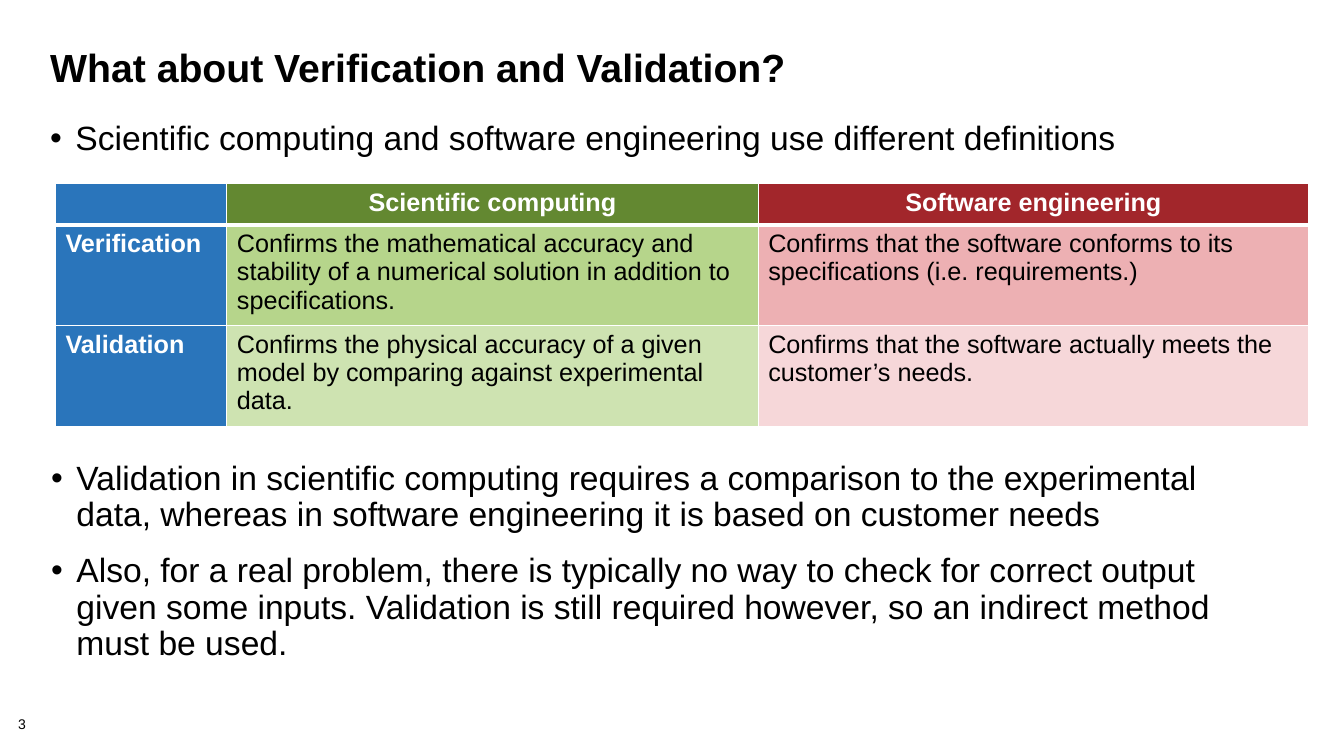
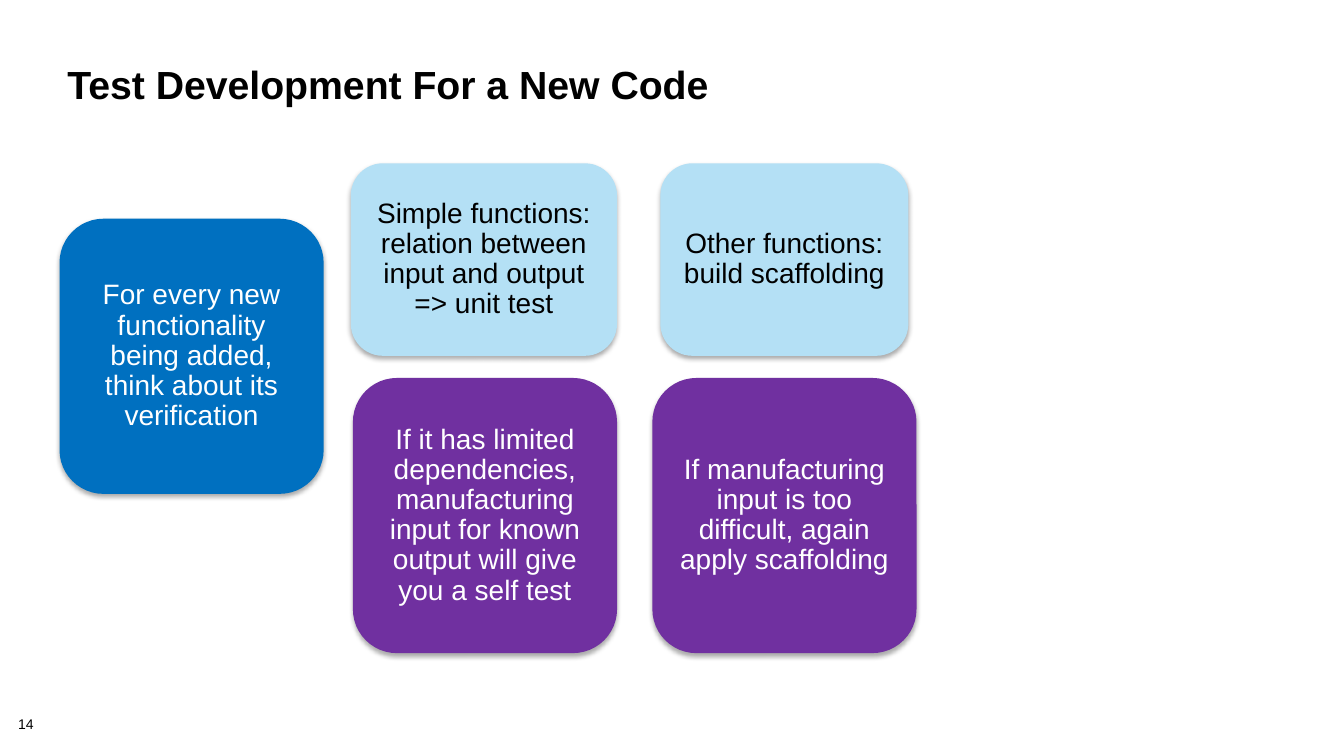
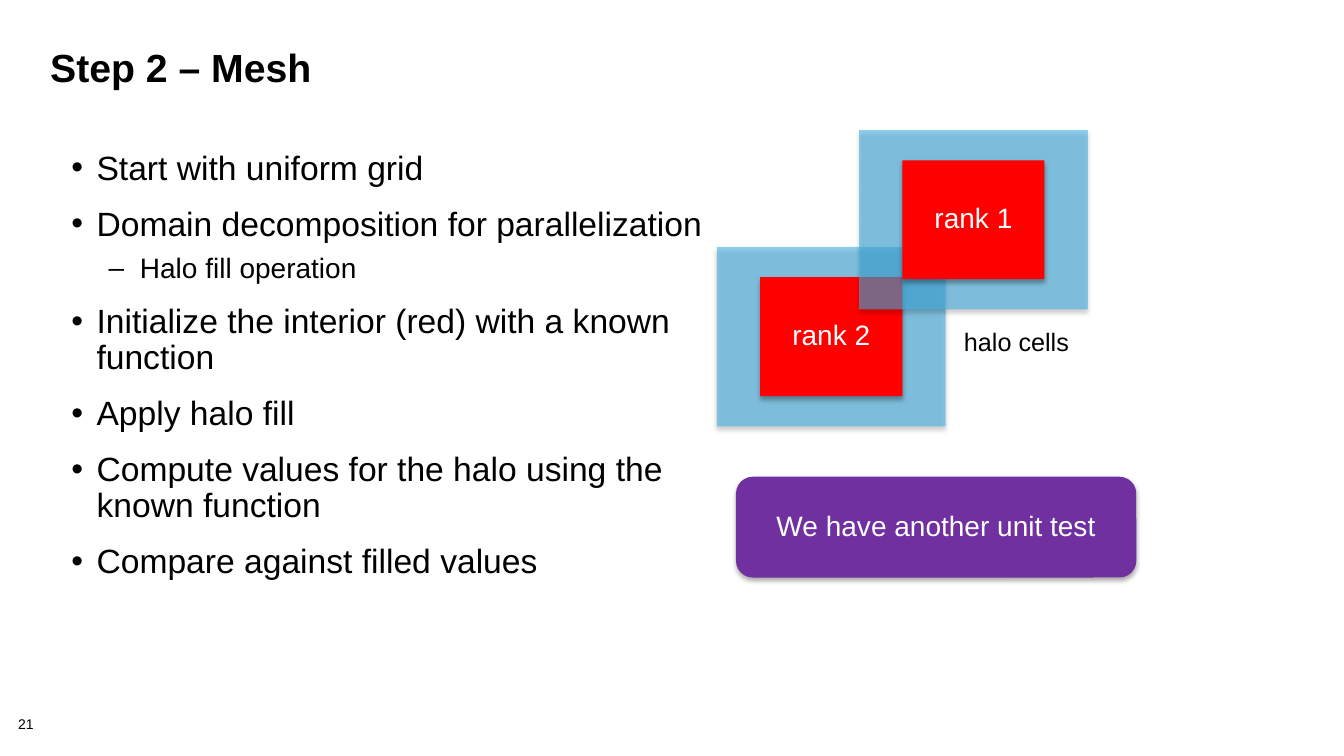
"""Build three slides on verification, test development and mesh testing."""
from dataclasses import dataclass

from lxml import etree
from pptx import Presentation
from pptx import util as u
from pptx.dml.color import RGBColor
from pptx.enum import shapes, text
from pptx.oxml import ns


@dataclass(frozen=True)
class Theme:
    font: str = "Arial"
    black: str = "000000"
    white: str = "FFFFFF"
    blue: str = "0070C0"
    pale_blue: str = "B4E0F5"
    purple: str = "7030A0"
    red: str = "FF0000"
    halo: str = "43B1E5"
    label_blue: str = "2A75BB"
    greens: tuple = ("638831", "B6D58B", "CEE3B1")
    reds: tuple = ("A2262B", "EDB0B3", "F6D7D9")
    title: int = 28
    body: int = 24
    block: int = 20
    table: int = 18
    footer: int = 10


theme = Theme()
bullet_levels = [
    ("•", 0.25, -0.25, 14, theme.body),
    ("–", 0.68, -0.31, 8, theme.block),
]


def write(frame, lines, size, color=theme.black, bold=False, spacing=0.9,
          align=None, margins=(0.1, 0.05), bullets=False):
    """Fill a text frame with (text, level) lines."""
    frame.word_wrap = True
    frame.margin_left = frame.margin_right = u.Inches(margins[0])
    frame.margin_top = frame.margin_bottom = u.Inches(margins[1])
    for index, (words, level) in enumerate(lines):
        para = frame.add_paragraph() if index else frame.paragraphs[0]
        para.line_spacing = spacing
        para.alignment = align
        if bullets:
            mark, margin, indent, before, size = bullet_levels[level]
            para.level = level
            props = para._p.get_or_add_pPr()
            props.set("marL", str(u.Inches(margin)))
            props.set("indent", str(u.Inches(indent)))
            tint = etree.SubElement(props, ns.qn("a:buClr"))
            etree.SubElement(tint, ns.qn("a:srgbClr"), val=theme.black)
            etree.SubElement(props, ns.qn("a:buFont"), typeface=theme.font)
            etree.SubElement(props, ns.qn("a:buChar"), char=mark)
            if index:
                para.space_before = u.Pt(before)
        span = para.add_run()
        span.text = words
        span.font.name = theme.font
        span.font.size = u.Pt(size)
        span.font.bold = bold
        span.font.color.rgb = RGBColor.from_string(color)


def add_block(parent, kind, place, fill, words="", color=theme.white, opacity=100):
    """Add a filled shape with a soft shadow and centred text."""
    shape = parent.add_shape(kind, *map(u.Inches, place))
    shape.fill.solid()
    shape.fill.fore_color.rgb = RGBColor.from_string(fill)
    shape.line.fill.background()
    shape.shadow.inherit = False
    props = shape._element.spPr
    if opacity < 100:
        tint = props.find(ns.qn("a:solidFill")).find(ns.qn("a:srgbClr"))
        etree.SubElement(tint, ns.qn("a:alpha"), val=str(opacity * 1000))
    shadow = etree.SubElement(
        props.find(ns.qn("a:effectLst")), ns.qn("a:outerShdw"), blurRad=str(u.Pt(3.5)),
        dist=str(u.Pt(2.2)), dir="5400000", rotWithShape="0")
    tint = etree.SubElement(shadow, ns.qn("a:srgbClr"), val=theme.black)
    etree.SubElement(tint, ns.qn("a:alpha"), val="32000")
    if words:
        shape.text_frame.vertical_anchor = text.MSO_ANCHOR.MIDDLE
        write(shape.text_frame, [(words, 0)], theme.block, color,
              align=text.PP_ALIGN.CENTER, margins=(0.13, 0.07))


deck = Presentation()
deck.slide_width, deck.slide_height = u.Inches(13.33), u.Inches(7.5)

pages = []
for number, title, left, top in [
    ("3", "What about Verification and Validation?", 0.4, 0.45),
    ("14", "Test Development For a New Code", 0.57, 0.62),
    ("21", "Step 2 – Mesh", 0.4, 0.45),
]:
    page = deck.slides.add_slide(deck.slide_layouts[6])
    box = page.shapes.add_textbox(u.Inches(0.18), u.Inches(7.12), u.Inches(0.56), u.Inches(0.16))
    write(box.text_frame, [(number, 0)], theme.footer, margins=(0, 0))
    box = page.shapes.add_textbox(u.Inches(left), u.Inches(top), u.Inches(12.44), u.Inches(1))
    write(box.text_frame, [(title, 0)], theme.title, bold=True, spacing=0.85)
    pages.append(page)
definitions, development, mesh = pages

for page, place, lines in [
    (definitions, (0.4, 1.16, 12.33, 0.6), [
        ("Scientific computing and software engineering use different definitions", 0),
    ]),
    (definitions, (0.41, 4.53, 12.33, 2.41), [
        ("Validation in scientific computing requires a comparison to the experimental data, "
         "whereas in software engineering it is based on customer needs", 0),
        ("Also, for a real problem, there is typically no way to check for correct output given "
         "some inputs. Validation is still required however, so an indirect method must be used.", 0),
    ]),
    (mesh, (0.61, 1.45, 6.46, 5.35), [
        ("Start with uniform grid", 0),
        ("Domain decomposition for parallelization", 0),
        ("Halo fill operation", 1),
        ("Initialize the interior (red) with a known function", 0),
        ("Apply halo fill", 0),
        ("Compute values for the halo using the known function", 0),
        ("Compare against filled values", 0),
    ]),
]:
    box = page.shapes.add_textbox(*map(u.Inches, place))
    write(box.text_frame, lines, theme.body, bullets=True)

rows = [
    ("", "Scientific computing", "Software engineering"),
    ("Verification",
     "Confirms the mathematical accuracy and stability of a numerical solution in addition to "
     "specifications.",
     "Confirms that the software conforms to its specifications (i.e. requirements.)"),
    ("Validation",
     "Confirms the physical accuracy of a given model by comparing against experimental data.",
     "Confirms that the software actually meets the customer’s needs."),
]
column_fills = [(theme.label_blue,) * 3, theme.greens, theme.reds]
table = definitions.shapes.add_table(
    3, 3, u.Inches(0.55), u.Inches(1.82), u.Inches(12.43), u.Inches(2.29)).table
table.horz_banding = False
for column, width in zip(table.columns, (1.7, 5.27, 5.46)):
    column.width = u.Inches(width)
for row, height in zip(table.rows, (0.41, 0.94, 0.94)):
    row.height = u.Inches(height)
for r, row in enumerate(rows):
    for c, words in enumerate(row):
        cell = table.cell(r, c)
        props = cell._tc.get_or_add_tcPr()
        for side in "LRTB":
            thick = (r, side) in [(0, "B"), (1, "T")]
            edge = etree.SubElement(props, ns.qn(f"a:ln{side}"), w=str(u.Pt(3 if thick else 1)))
            paint = etree.SubElement(edge, ns.qn("a:solidFill"))
            etree.SubElement(paint, ns.qn("a:srgbClr"), val=theme.white)
        cell.fill.solid()
        cell.fill.fore_color.rgb = RGBColor.from_string(column_fills[c][r])
        heading = r == 0 or c == 0
        if words:
            write(cell.text_frame, [(words, 0)], theme.table,
                  theme.white if heading else theme.black, heading, spacing=1.0,
                  align=None if r else text.PP_ALIGN.CENTER)

rounded = shapes.MSO_SHAPE.ROUNDED_RECTANGLE
for place, fill, color, words in [
    ((0.59, 2.17, 2.62, 2.73), theme.blue, theme.white,
     "For every new functionality being added, think about its verification"),
    ((6.47, 3.75, 2.62, 2.73), theme.purple, theme.white,
     "If manufacturing input is too difficult, again apply scaffolding"),
    ((3.5, 3.75, 2.62, 2.73), theme.purple, theme.white,
     "If it has limited dependencies, manufacturing input for known output will give you a self test"),
    ((3.48, 1.62, 2.64, 1.91), theme.pale_blue, theme.black,
     "Simple functions: relation between input and output => unit test"),
    ((6.55, 1.62, 2.46, 1.91), theme.pale_blue, theme.black,
     "Other functions: build scaffolding"),
]:
    add_block(development.shapes, rounded, place, fill, words, color)

square = shapes.MSO_SHAPE.RECTANGLE
for words, left, top in [("rank 2", 7.11, 2.45), ("rank 1", 8.52, 1.29)]:
    group = mesh.shapes.add_group_shape()
    add_block(group.shapes, square, (left, top, 2.27, 1.78), theme.halo, opacity=58)
    add_block(group.shapes, square, (left + 0.43, top + 0.3, 1.41, 1.18), theme.red, words)

box = mesh.shapes.add_textbox(u.Inches(9.43), u.Inches(3.17), u.Inches(1.31), u.Inches(0.47))
box.text_frame.vertical_anchor = text.MSO_ANCHOR.MIDDLE
write(box.text_frame, [("halo cells", 0)], theme.table, margins=(0.13, 0.1))
box.text_frame.word_wrap = False
add_block(mesh.shapes, rounded, (7.3, 4.73, 3.97, 1), theme.purple, "We have another unit test")

deck.save("out.pptx")
